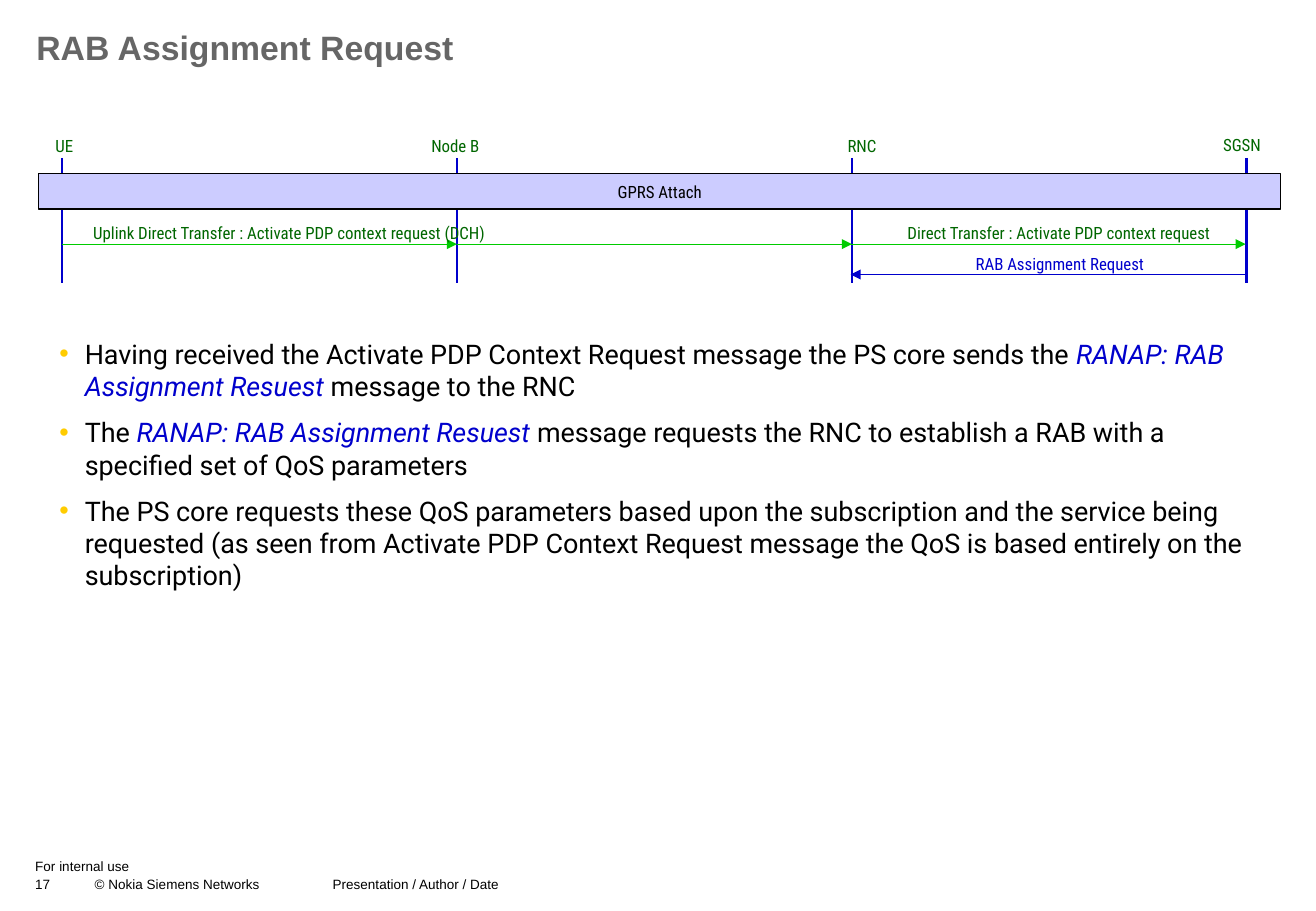
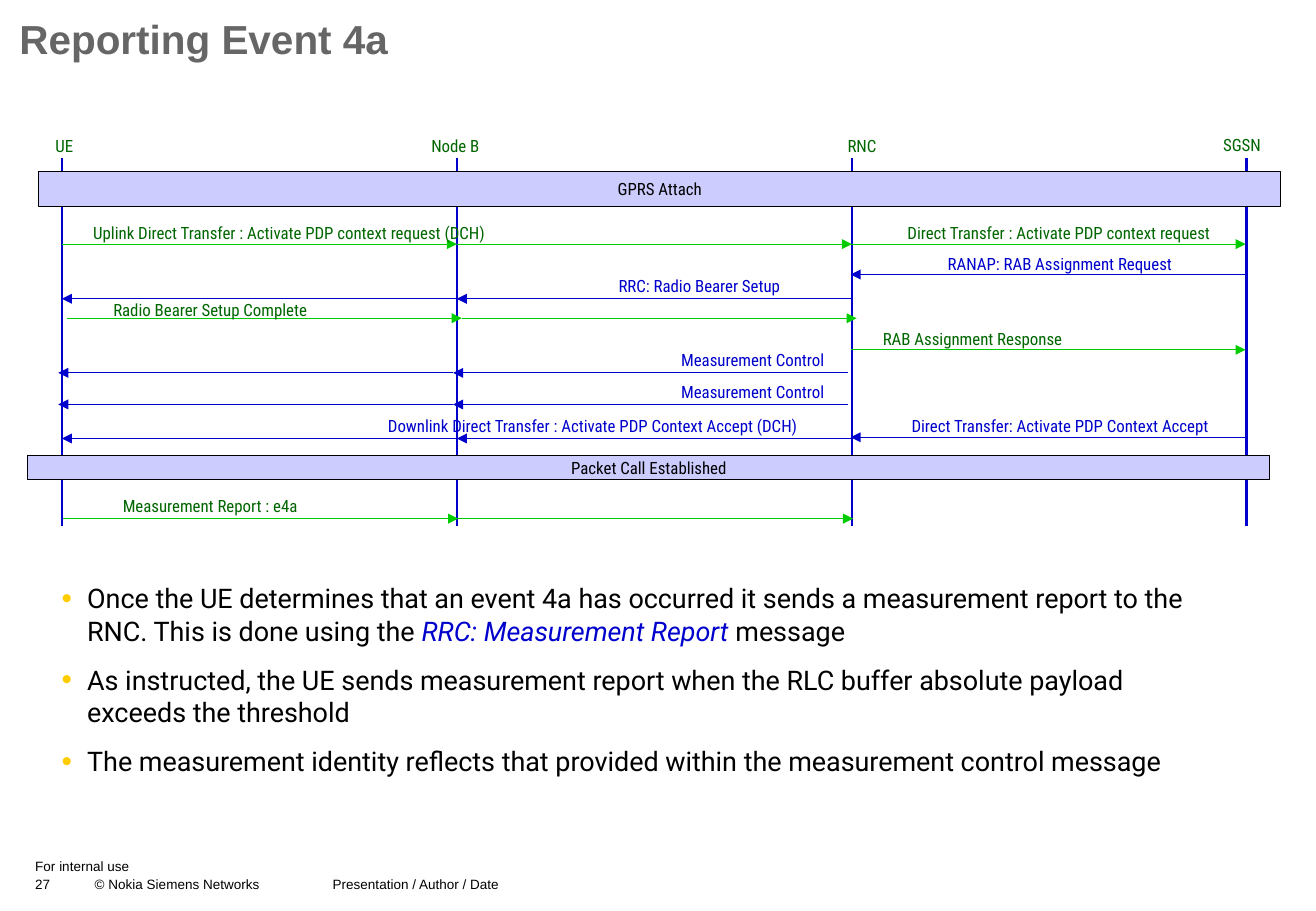
from lxml.etree import SubElement
from pptx import Presentation
from pptx.dml.color import RGBColor
from pptx.enum.shapes import MSO_CONNECTOR as Connector, MSO_SHAPE as Preset
from pptx.enum.text import MSO_ANCHOR as Anchor, PP_ALIGN as Align
from pptx.oxml.ns import qn
from pptx.util import Inches, Pt

hex_color = RGBColor.from_string

BLACK, GREY = "000000", "666666"
BLUE, GREEN, DARK_GREEN = "0000CC", "00CC00", "006600"
LILAC, YELLOW = "CCCCFF", "FFCC00"
HEADING, BODY, LABEL = "Arial", "Roboto", "Roboto Condensed"

UE, NODE_B, RNC, SGSN = range(4)
FIRST, LAST = 0.51, 10.27
HOP = (LAST - FIRST) / SGSN
columns = [FIRST + HOP * node for node in range(4)]
LIFELINE_TOP = 1.3
LABEL_HEIGHT = 0.27

nodes = [("UE", 0.53, 1.07), ("Node B", 3.75, 1.07), ("RNC", 7.1, 1.07), ("SGSN", 10.23, 1.06)]

activation = [
    (UE, RNC, 2.01, 0, "Uplink Direct Transfer : Activate PDP context request (DCH)", 2.38, 1.78),
    (RNC, SGSN, 2.01, -0.01, "Direct Transfer : Activate PDP context request", 8.72, 1.78),
]

pages = [
    {
        "number": 17,
        "title": ("RAB Assignment Request", 0.3, 0.26, 20),
        "lifeline_bottom": 2.33,
        "messages": activation + [
            (SGSN, RNC, 2.26, -0.01, "RAB Assignment Request", 8.73, 2.04),
        ],
        "bands": [("GPRS Attach", 0.32, 1.43, 0.29)],
        "body": (0.39, 2.73, 9.95, 2.19),
        "gap": 8,
        "bullet_size": 100,
        "points": [
            "Having received the Activate PDP Context Request message the PS core sends the "
            "*RANAP: RAB Assignment Resuest* message to the RNC",
            "The *RANAP: RAB Assignment Resuest* message requests the RNC to establish a RAB "
            "with a specified set of QoS parameters",
            "The PS core requests these QoS parameters based upon the subscription and the "
            "service being requested (as seen from Activate PDP Context Request message the "
            "QoS is based entirely on the subscription)",
        ],
    },
    {
        "number": 27,
        "title": ("Reporting Event 4a", 0.16, 0.16, 24),
        "lifeline_bottom": 4.33,
        "messages": activation + [
            (SGSN, RNC, 2.26, -0.01, "RANAP: RAB Assignment Request", 8.73, 2.04),
            (RNC, UE, 2.46, 0, "RRC: Radio Bearer Setup", 5.76, 2.22),
            (UE, RNC, 2.62, 0.04, "Radio Bearer Setup Complete", 1.73, 2.42),
            (RNC, SGSN, 2.88, -0.01, "RAB Assignment Response", 8.01, 2.66),
            (RNC, UE, 3.07, -0.03, "Measurement Control", 6.2, 2.83),
            (RNC, UE, 3.33, -0.03, "Measurement Control", 6.2, 3.09),
            (SGSN, RNC, 3.6, -0.01, "Direct Transfer: Activate PDP Context Accept", 8.73, 3.37),
            (RNC, UE, 3.61, 0, "Downlink Direct Transfer : Activate PDP Context Accept (DCH)", 4.88, 3.37),
            (UE, RNC, 4.27, 0.01, "Measurement Report : e4a", 1.73, 4.03),
        ],
        "bands": [("GPRS Attach", 0.32, 1.41, 0.29), ("Packet Call Established", 0.23, 3.75, 0.2)],
        "body": (0.41, 4.74, 9.79, 1.98),
        "gap": 10,
        "bullet_size": 110,
        "points": [
            "Once the UE determines that an event 4a has occurred it sends a measurement report "
            "to the RNC. This is done using the *RRC: Measurement Report* message",
            "As instructed, the UE sends measurement report when the RLC buffer absolute "
            "payload exceeds the threshold",
            "The measurement identity reflects that provided within the measurement control message",
        ],
    },
]


def write(holder, text, font, size, color, inset=(0, 0)):
    frame = holder.text_frame
    frame.margin_left = frame.margin_right = Inches(inset[0])
    frame.margin_top = frame.margin_bottom = Inches(inset[1])
    frame.word_wrap = True
    frame.text = text
    for paragraph in frame.paragraphs:
        parts = paragraph.text.split("*")
        paragraph.clear()
        for index, words in enumerate(parts):
            emphasised = index % 2 == 1
            run = paragraph.add_run()
            run.text = words
            run.font.name, run.font.size = font, Pt(size)
            run.font.italic = emphasised
            run.font.color.rgb = hex_color(BLUE if emphasised else color)
    return frame


def draw_line(slide, start, end, color, width, arrow=False):
    line = slide.shapes.add_connector(Connector.STRAIGHT, *map(Inches, start + end))
    line.line.color.rgb = hex_color(color)
    line.line.width = Pt(width)
    properties = line.element.spPr
    if arrow:
        SubElement(properties.find(qn("a:ln")), qn("a:tailEnd"), type="triangle")
    SubElement(properties, qn("a:effectLst"))


deck = Presentation()
deck.slide_width, deck.slide_height = Inches(10.84), Inches(7.5)

for page in pages:
    slide = deck.slides.add_slide(deck.slide_layouts[6])
    shapes = slide.shapes

    credit = shapes.add_textbox(*map(Inches, (0.29, 7.21, 8.11, 0.17)))
    credit_text = f"{page['number']}\t© Nokia Siemens Networks \tPresentation / Author / Date"
    credit_line = write(credit, credit_text, HEADING, 8, BLACK).paragraphs[0]
    stops = SubElement(credit_line._p.get_or_add_pPr(), qn("a:tabLst"))
    for stop in (0.49, 2.45):
        SubElement(stops, qn("a:tab"), pos=str(Inches(stop)), algn="l")
    notice = shapes.add_textbox(*map(Inches, (0.29, 7.06, 3.61, 0.15)))
    write(notice, "For internal use", HEADING, 8, BLACK)

    title_text, left, top, size = page["title"]
    title = shapes.add_textbox(*map(Inches, (left, top, 10.2, 0.61)))
    title_line = write(title, title_text, HEADING, size, GREY).paragraphs[0]
    title_line.line_spacing = 0.9
    title_line.runs[0].font.bold = True

    for x in columns:
        draw_line(slide, (x, LIFELINE_TOP), (x, page["lifeline_bottom"]), BLUE, 1.5)

    labels = [(*node, DARK_GREEN) for node in nodes]
    for start, end, row, shift, label, centre, top in page["messages"]:
        step = 1 if end > start else -1
        for node in range(start, end, step):
            hop = [(columns[stop] + shift, row) for stop in (node, node + step)]
            draw_line(slide, *hop, GREEN if step > 0 else BLUE, 0.75, arrow=True)
        labels.append((label, centre, top, DARK_GREEN if step > 0 else BLUE))

    for label, centre, top, color in labels:
        width = 0.3 + 0.07 * len(label)
        caption = shapes.add_textbox(*map(Inches, (centre - width / 2, top, width, LABEL_HEIGHT)))
        frame = write(caption, label, LABEL, 10, color, (0, 0.05))
        frame.word_wrap = False
        frame.paragraphs[0].alignment = Align.CENTER

    for phase, left, top, height in page["bands"]:
        band = shapes.add_shape(Preset.RECTANGLE, *map(Inches, (left, top, 10.23, height)))
        band.shadow.inherit = False
        band.fill.solid()
        band.fill.fore_color.rgb = hex_color(LILAC)
        band.line.color.rgb = hex_color(BLACK)
        band.line.width = Pt(0.75)
        frame = write(band, phase, LABEL, 10, BLACK)
        frame.vertical_anchor = Anchor.MIDDLE
        frame.paragraphs[0].alignment = Align.CENTER

    body = shapes.add_textbox(*map(Inches, page["body"]))
    frame = write(body, "\n".join(page["points"]), BODY, 16, BLACK, (0.1, 0.05))
    for index, point in enumerate(frame.paragraphs):
        layout = point._p.get_or_add_pPr()
        layout.set("marL", str(Inches(0.21)))
        layout.set("indent", str(-Inches(0.21)))
        SubElement(SubElement(layout, qn("a:buClr")), qn("a:srgbClr"), val=YELLOW)
        SubElement(layout, qn("a:buSzPct"), val=str(page["bullet_size"] * 1000))
        SubElement(layout, qn("a:buFont"), typeface=HEADING)
        SubElement(layout, qn("a:buChar"), char="•")
        if index:
            point.space_before = Pt(page["gap"])

deck.save("out.pptx")
